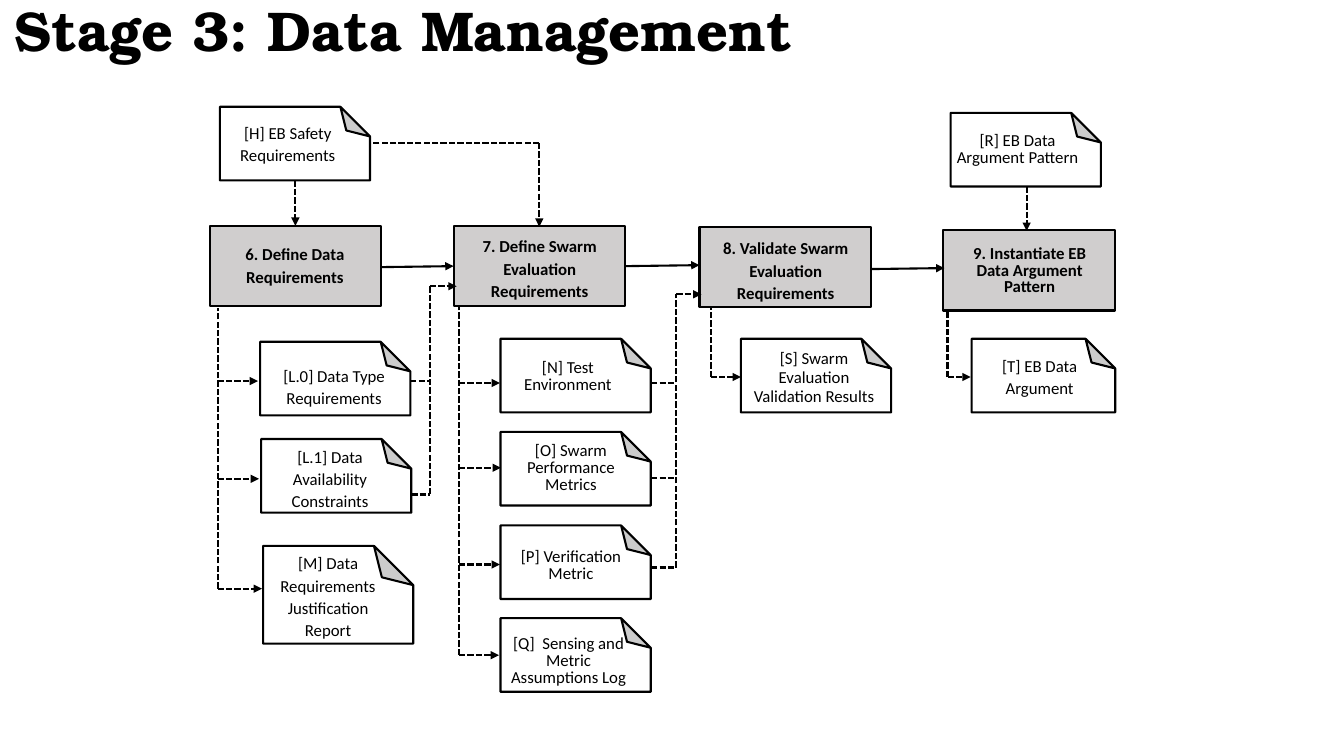
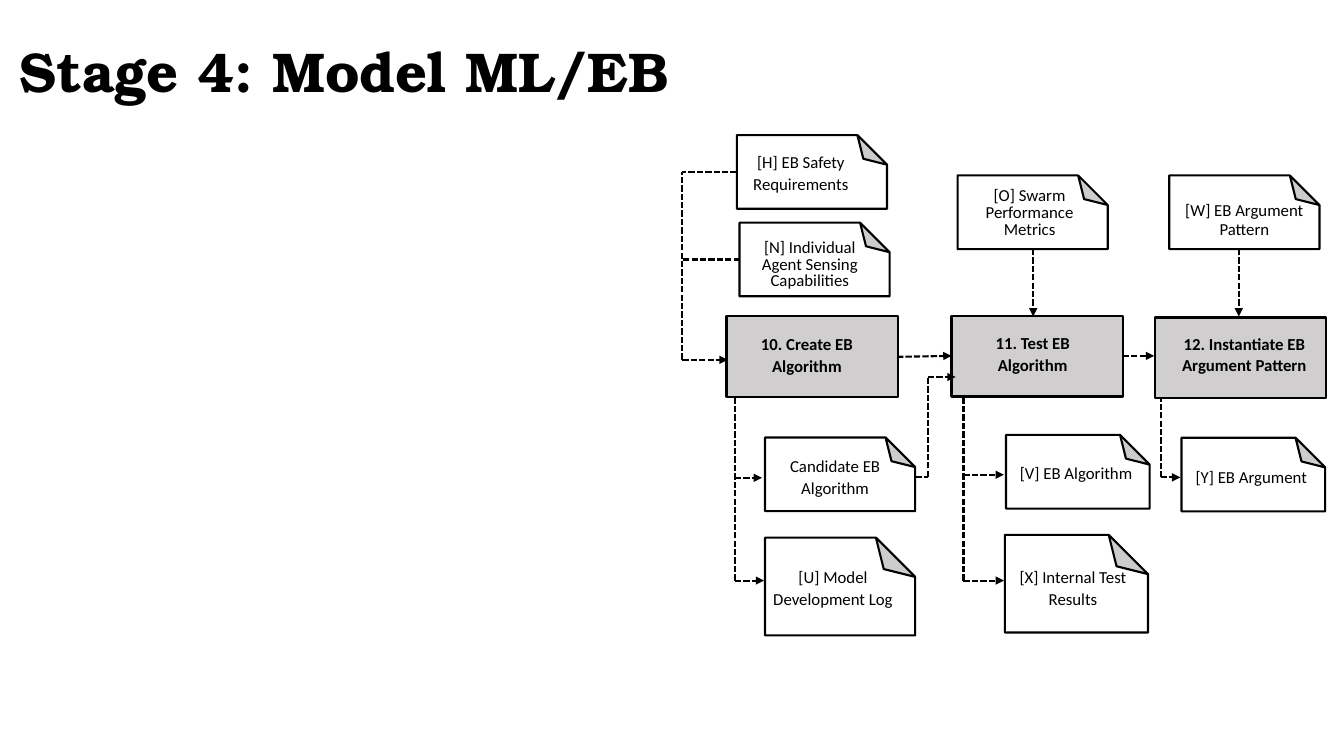
from pptx import Presentation
from pptx.dml.color import RGBColor
from pptx.enum.dml import MSO_LINE
from pptx.enum.shapes import MSO_CONNECTOR, MSO_SHAPE
from pptx.enum.text import MSO_ANCHOR, MSO_AUTO_SIZE as AUTO_SIZE, PP_ALIGN
from pptx.oxml.ns import qn
from pptx.util import Pt
from lxml.etree import SubElement

COLORS = {"ink": "000000", "paper": "FFFFFF", "step": "D0CECE"}
TITLE_FONT = "TeX Gyre Bonum"
BODY_FONT = "Calibri"
LINE_WIDTH = 1.5
FOLD = 40200
STEP_SIZE = (122.4, 57.6)
NOTE_SIZE = (107.3, 52.6)
NARROW_NOTE = (102.6, 52.6)
TALL_NOTE = (107.3, 69.8)
NARROW_TALL_NOTE = (102.2, 69.8)
NORMAL_INSET = (7.2, 3.6)
WIDE_INSET = (9.36, 5.04)


def color(name):
    return RGBColor.from_string(COLORS[name])


def add_run(paragraph, text, font, size, bold=False):
    run = paragraph.add_run()
    run.text = text
    run.font.name = font
    run.font.size = Pt(size)
    run.font.bold = bold
    run.font.color.rgb = color("ink")


def add_titled_slide(presentation, text, left, top):
    slide = presentation.slides.add_slide(presentation.slide_layouts[5])
    title = slide.shapes.title
    title.left, title.top, title.width, title.height = map(Pt, (left, top, 923, 78.5))
    frame = title.text_frame
    frame.word_wrap = True
    frame.auto_size = AUTO_SIZE.NONE
    frame.vertical_anchor = MSO_ANCHOR.MIDDLE
    paragraph = frame.paragraphs[0]
    paragraph.alignment = PP_ALIGN.LEFT
    paragraph.line_spacing = 0.7
    paragraph.space_before = Pt(0)
    add_run(paragraph, text, TITLE_FONT, 40, True)
    return slide


def add_outlined(slide, preset, box, fill):
    shape = slide.shapes.add_shape(preset, *map(Pt, box))
    shape.shadow.inherit = False
    shape.fill.solid()
    shape.fill.fore_color.rgb = color(fill)
    shape.line.color.rgb = color("ink")
    shape.line.width = Pt(LINE_WIDTH)
    return shape


def add_label(slide, text, box, spacing, inset, bold=False):
    frame = slide.shapes.add_textbox(*map(Pt, box)).text_frame
    frame.word_wrap = True
    frame.auto_size = AUTO_SIZE.SHAPE_TO_FIT_TEXT
    frame.margin_left = frame.margin_right = Pt(inset[0])
    frame.margin_top = frame.margin_bottom = Pt(inset[1])
    paragraph = frame.paragraphs[0]
    paragraph.alignment = PP_ALIGN.CENTER
    paragraph.line_spacing = Pt(spacing)
    add_run(paragraph, text, BODY_FONT, 12, bold)


def add_step(slide, text, corner, label_box, spacing=16, inset=NORMAL_INSET):
    add_outlined(slide, MSO_SHAPE.RECTANGLE, (*corner, *STEP_SIZE), "step")
    add_label(slide, text, label_box, spacing, inset, True)


def set_fold(note):
    geometry = note._element.spPr.find(qn("a:prstGeom"))
    geometry.set("prst", "foldedCorner")
    for child in list(geometry):
        geometry.remove(child)
    guides = SubElement(geometry, qn("a:avLst"))
    SubElement(guides, qn("a:gd"), name="adj", fmla=f"val {FOLD}")


def add_note(slide, text, corner, label_box, spacing=15.8, inset=NORMAL_INSET, size=NOTE_SIZE):
    left, top = corner
    width, height = size
    shift = (width - height) / 2
    box = (left + shift, top - shift, height, width)
    note = add_outlined(slide, MSO_SHAPE.FOLDED_CORNER, box, "paper")
    set_fold(note)
    note.rotation = 270
    add_label(slide, text, label_box, spacing, inset)


def add_link(slide, start, end, arrow=True, dashed=True):
    link = slide.shapes.add_connector(MSO_CONNECTOR.STRAIGHT, *map(Pt, (*start, *end)))
    link.line.color.rgb = color("ink")
    link.line.width = Pt(LINE_WIDTH)
    if dashed:
        link.line.dash_style = MSO_LINE.SQUARE_DOT
    if arrow:
        outline = link._element.spPr.find(qn("a:ln"))
        SubElement(outline, qn("a:tailEnd"), type="triangle")
    SubElement(link._element.spPr, qn("a:effectLst"))


def add_outputs(slide, trunk_x, top, targets):
    add_link(slide, (trunk_x, targets[-1][1]), (trunk_x, top), arrow=False)
    for target in targets:
        add_link(slide, (trunk_x, target[1]), target)


def add_inputs(slide, trunk_x, sources, target):
    ys = [y for x, y in sources] + [target[1]]
    add_link(slide, (trunk_x, max(ys)), (trunk_x, min(ys)), arrow=False)
    for source in sources:
        add_link(slide, source, (trunk_x, source[1]), arrow=False)
    add_link(slide, (trunk_x, target[1]), target)


def build_data_management(presentation):
    slide = add_titled_slide(presentation, "Stage 3: Data Management", 2.9, -12.2)

    add_step(slide, "6. Define Data Requirements", (149.8, 161.3), (157, 169.2, 107.3, 38.9))
    add_step(slide, "7. Define Swarm Evaluation Requirements", (324, 161.3),
             (328.3, 162, 114.5, 57.6), inset=WIDE_INSET)
    add_step(slide, "8. Validate Swarm Evaluation Requirements", (499.7, 162),
             (500.4, 164.9, 121.7, 54.7))
    add_step(slide, "9. Instantiate EB Data Argument Pattern", (673.9, 164.2),
             (678.2, 172.1, 114.5, 43.9), 12)

    add_note(slide, "[H] EB Safety Requirements", (157, 76.3), (151.9, 82.8, 107.3, 38.9))
    add_note(slide, "[R] EB Data Argument Pattern", (679, 80.6), (673.2, 91.4, 107.3, 31.7), 12)
    add_note(slide, "[L.0] Data Type Requirements", (185.8, 244.1),
             (169.2, 254.9, 139, 41), inset=WIDE_INSET)
    add_note(slide, "[L.1] Data Availability Constraints", (186.5, 313.6),
             (175.7, 312.5, 120.2, 57.6), inset=WIDE_INSET)
    add_note(slide, "[M] Data Requirements Justification Report", (187.9, 389.9),
             (180.7, 390.2, 107.3, 71.3), size=TALL_NOTE)
    add_note(slide, "[N] Test Environment", (357.5, 242),
             (350.6, 252, 110.2, 46.1), 12, WIDE_INSET)
    add_note(slide, "[O] Swarm Performance Metrics", (357.5, 308.5),
             (354.2, 313.2, 107.3, 43.9), 12)
    add_note(slide, "[P] Verification Metric", (357.5, 375.3), (354.2, 388.8, 107.3, 31.7), 12)
    add_note(slide, "[Q]\u00a0 Sensing and Metric Assumptions Log", (357.5, 441.5),
             (349.2, 449.3, 113.8, 46.1), 12, WIDE_INSET)
    add_note(slide, "[S] Swarm Evaluation Validation Results", (529.2, 242),
             (527.8, 246.2, 107.3, 46.8), 13.3)
    add_note(slide, "[T] EB Data Argument", (694, 242), (689, 249.1, 107.3, 38.9),
             size=NARROW_NOTE)

    for start, end in (((272.2, 190.8), (324, 190.1)), ((447.1, 190.1), (499.7, 189.4)),
                       ((622.1, 192.2), (674.6, 191.5))):
        add_link(slide, start, end, dashed=False)
    add_link(slide, (211, 128.9), (211, 161.3))
    add_link(slide, (733.3, 133.2), (733.3, 164.9))
    add_link(slide, (385.2, 102.2), (264.2, 102.2), arrow=False)
    add_link(slide, (385.2, 102.2), (385.2, 162))

    add_outputs(slide, 155.5, 220.3, [(184.3, 272.2), (185, 342), (187.2, 420.5)])
    add_outputs(slide, 327.9, 218.9, [(357.1, 273.6), (357.8, 334.1), (357.1, 403.2), (356.4, 468)])
    add_outputs(slide, 507.6, 219.6, [(529.2, 269.3)])
    add_outputs(slide, 676.8, 222.5, [(693.4, 269.3)])
    add_inputs(slide, 307, [(293, 272.2), (293.8, 353.2)], (326.2, 204.5))
    add_inputs(slide, 483.1, [(465.1, y) for y in (273.6, 341.3, 405.4)], (501.1, 210.2))


def build_model(presentation):
    slide = add_titled_slide(presentation, "Stage 4: Model ML/EB", 6.5, 16.6)

    add_step(slide, "10. Create EB Algorithm", (519, 226),
             (522.7, 231.8, 107.3, 41), inset=WIDE_INSET)
    add_step(slide, "11. Test EB Algorithm", (679.7, 225.7),
             (680.4, 231.1, 114.5, 41), inset=WIDE_INSET)
    add_step(slide, "12. Instantiate EB Argument Pattern", (825.1, 226.8),
             (831.6, 234.7, 114.5, 36.7), 14.7)

    add_note(slide, "[H] EB Safety Requirements", (526.3, 96.5), (518.4, 103.7, 107.3, 38.9))
    add_note(slide, "[N] Individual Agent Sensing Capabilities", (528.2, 159),
             (522, 166.3, 113, 46.1), 12, WIDE_INSET)
    add_note(slide, "[O] Swarm Performance Metrics", (684, 125.3),
             (681.8, 129.6, 107.3, 46.1), 12, WIDE_INSET)
    add_note(slide, "[W] EB Argument Pattern", (835.2, 125.3),
             (835.2, 140.4, 107.3, 33.8), 13.3)
    add_note(slide, "Candidate EB Algorithm", (546.4, 312.5),
             (542.9, 319, 107.3, 41), inset=WIDE_INSET)
    add_note(slide, "[U] Model Development Log", (546.4, 384),
             (541.4, 399.6, 107.3, 38.9), size=TALL_NOTE)
    add_note(slide, "[V] EB Algorithm", (718.6, 310.7), (715, 324, 107.3, 25.2),
             inset=WIDE_INSET, size=NARROW_NOTE)
    add_note(slide, "[X] Internal Test Results", (717.8, 382), (712.8, 399.6, 107.3, 38.9),
             size=NARROW_TALL_NOTE)
    add_note(slide, "[Y] EB Argument", (844, 312.7), (840.2, 331.2, 107.3, 20.2), 13.3,
             size=NARROW_NOTE)

    add_link(slide, (640.8, 254.9), (679.7, 254.2))
    add_link(slide, (802, 254.2), (824.4, 254.2))
    add_link(slide, (738, 177.8), (738, 226.1))
    add_link(slide, (884.9, 177.8), (884.9, 226.1))

    add_outputs(slide, 524.9, 284.4, [(544.3, 341.3), (545.8, 414.7)])
    add_outputs(slide, 688.2, 283.7, [(717.1, 339.1), (717.1, 414.7)])
    add_outputs(slide, 829, 283.7, [(843.1, 341)])
    add_inputs(slide, 487.4, [(526.3, 123.1), (528.5, 185.4)], (519.8, 257))
    add_inputs(slide, 662.8, [(653.8, 340.6)], (682.6, 269.3))


def main():
    presentation = Presentation()
    presentation.slide_width = Pt(960)
    presentation.slide_height = Pt(540)
    build_data_management(presentation)
    build_model(presentation)
    presentation.save("out.pptx")


main()
